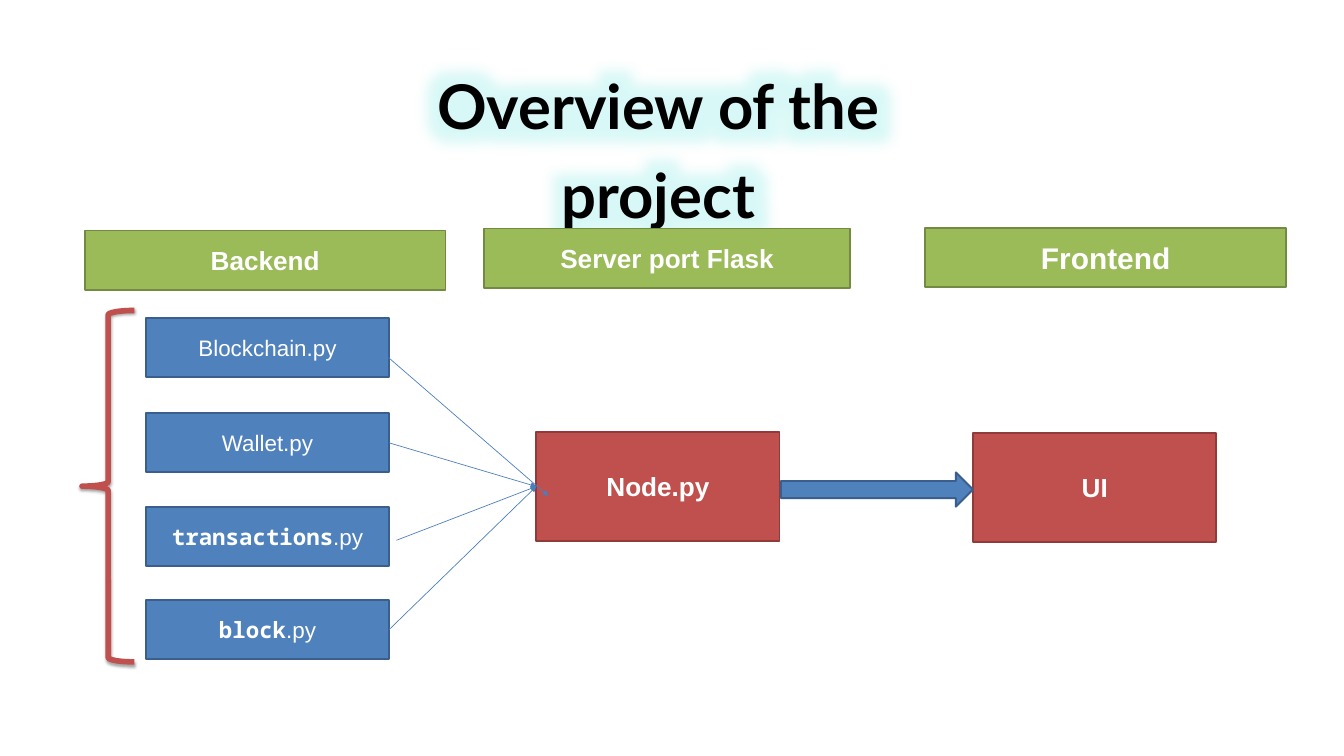
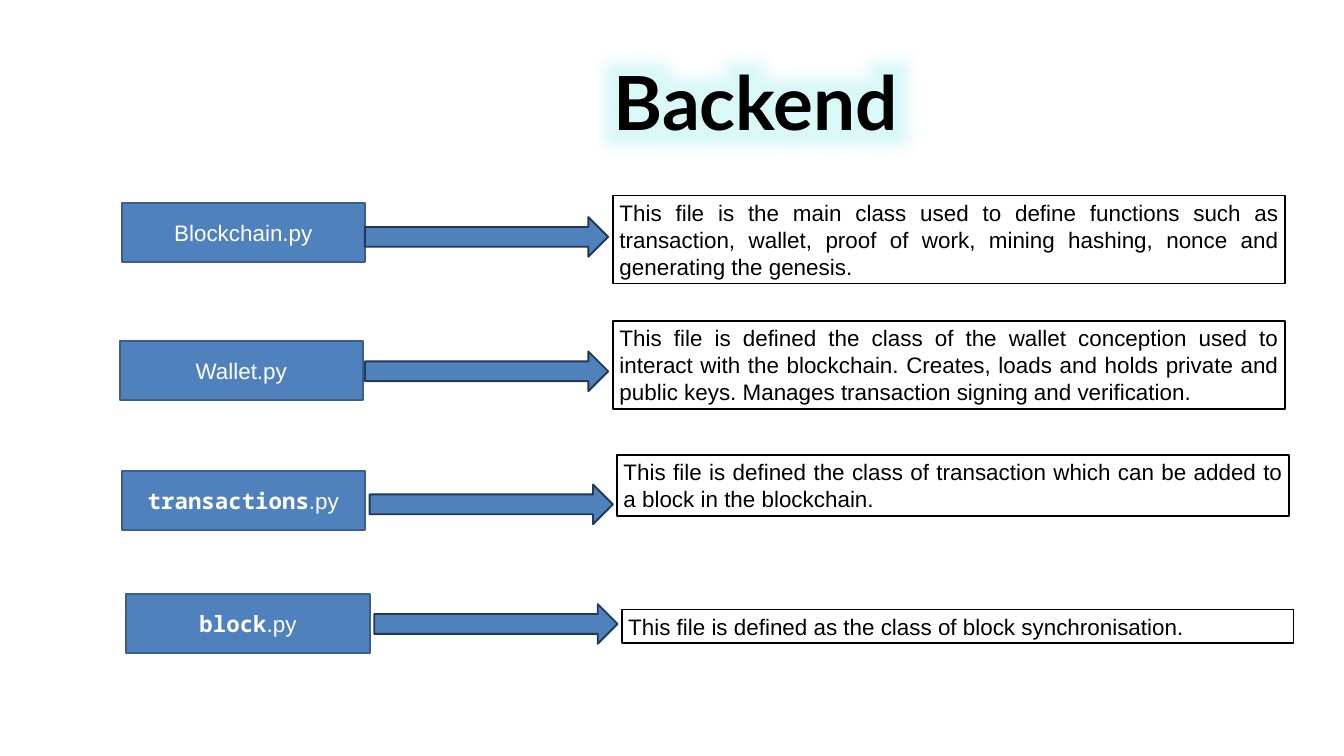
from lxml import etree
from pptx import Presentation
from pptx import util as u
from pptx.dml.color import RGBColor
from pptx.enum import shapes, text
from pptx.oxml import ns

BLUE, BLUE_EDGE, ARROW_EDGE = "4F81BD", "3A5F8C", "233953"
RED, RED_EDGE = "C0504D", "8E3B39"
GREEN, GREEN_EDGE = "9BBB59", "738A42"
WHITE, BLACK, WIRE, GLOW = "FFFFFF", "000000", "4B7EBC", "40E0D8"
BODY, CODE, TITLE = "Arial", "Noto Sans Mono", "Lato"
KIND = shapes.MSO_SHAPE
CENTER, JUSTIFY = text.PP_ALIGN.CENTER, text.PP_ALIGN.JUSTIFY

FILE_SIZE = (3.62, 0.88)
STAGE_SIZE = (3.62, 1.62)

FILES = [
    [("Blockchain.py", BODY, False)],
    [("Wallet.py", BODY, False)],
    [("transactions", CODE, True), (".py", BODY, False)],
    [("block", CODE, True), (".py", BODY, False)],
]
FILE_TOPS = [4.73, 6.15, 7.54, 8.93]

HEADINGS = [
    ("Backend", (1.26, 3.43, 5.37, 0.88), 28),
    ("Server port Flask", (7.2, 3.4, 5.45, 0.88), 28),
    ("Frontend", (13.77, 3.39, 5.37, 0.88), 32),
]

STAGES = [("Node.py", (7.98, 6.43)), ("UI", (14.48, 6.44))]

WIRES = [
    ((5.78, 5.32), (8.16, 7.38), False, False),
    ((5.78, 6.59), (7.98, 7.23), True, True),
    ((5.9, 8.04), (7.98, 7.23), False, True),
    ((5.78, 9.37), (7.98, 7.23), True, True),
]

DETAILS = [
    ((1.81, 3.02), (5.43, 3.23), (9.12, 2.91, 10, 1.31),
     "This file is the main class used to define functions such as transaction, "
     "wallet, proof of work, mining hashing, nonce and generating the genesis."),
    ((1.78, 5.07), (5.43, 5.23), (9.12, 4.78, 10, 1.31),
     "This file is defined the class of the wallet conception used to interact with "
     "the blockchain. Creates, loads and holds private and public keys. Manages "
     "transaction signing and verification."),
    ((1.81, 7.01), (5.5, 7.21), (9.18, 6.77, 10, 0.91),
     "This file is defined the class of transaction which can be added to a block "
     "in the blockchain."),
    ((1.88, 8.84), (5.57, 8.99), (9.25, 9.07, 10, 0.5),
     "This file is defined as the class of block synchronisation."),
]


def color(value):
    return RGBColor.from_string(value)


def inches(values):
    return [u.Inches(value) for value in values]


def sub(parent, tag, **attributes):
    element = etree.SubElement(parent, ns.qn(tag))
    for name, value in attributes.items():
        element.set(name, str(value))
    return element


def add_tint(effect, value, percent):
    sub(sub(effect, "a:srgbClr", val=value), "a:alpha", val=percent * 1000)


def write(box, runs, size, ink, align=CENTER):
    para = box.text_frame.paragraphs[0]
    para.alignment = align
    for words, face, bold in runs:
        span = para.add_run()
        span.text = words
        span.font.size = u.Pt(size)
        span.font.bold = bold
        span.font.color.rgb = color(ink)
        span.font.name = face
    return para


def add_title(page, words, place, size):
    box = page.shapes.add_textbox(*inches(place))
    frame = box.text_frame
    frame.word_wrap = True
    frame.auto_size = text.MSO_AUTO_SIZE.SHAPE_TO_FIT_TEXT
    frame.margin_left = frame.margin_right = frame.margin_top = frame.margin_bottom = 0
    para = write(box, [(words, TITLE, True)], size, BLACK)
    para.line_spacing = 1.2
    fill = para.runs[0].font._element.find(ns.qn("a:solidFill"))
    effects = etree.Element(ns.qn("a:effectLst"))
    add_tint(sub(effects, "a:glow", rad=u.Pt(50)), GLOW, 20)
    fill.addnext(effects)


def add_block(page, place, fill, edge, kind=KIND.RECTANGLE, width=2):
    block = page.shapes.add_shape(kind, *inches(place))
    block.shadow.inherit = False
    if fill:
        block.fill.solid()
        block.fill.fore_color.rgb = color(fill)
    else:
        block.fill.background()
    block.line.color.rgb = color(edge)
    block.line.width = u.Pt(width)
    block.text_frame.word_wrap = True
    block.text_frame.vertical_anchor = text.MSO_ANCHOR.MIDDLE
    return block


def add_file(page, corner, runs):
    block = add_block(page, (*corner, *FILE_SIZE), BLUE, BLUE_EDGE)
    write(block, runs, 24, WHITE)
    return block


def add_description(page, place, words):
    block = add_block(page, place, WHITE, BLACK)
    block.text_frame.vertical_anchor = text.MSO_ANCHOR.TOP
    block.text_frame.auto_size = text.MSO_AUTO_SIZE.SHAPE_TO_FIT_TEXT
    write(block, [(words, BODY, False)], 24, BLACK, JUSTIFY)


def add_wire(page, start, end, source, target):
    wire = page.shapes.add_connector(
        shapes.MSO_CONNECTOR.STRAIGHT, *inches(start), *inches(end))
    wire.line.color.rgb = color(WIRE)
    wire.line.width = u.Pt(0.75)
    sub(wire.line._get_or_add_ln(), "a:tailEnd", type="triangle")
    sub(wire._element.spPr, "a:effectLst")
    if source is not None:
        wire.begin_connect(source, 3)
    if target is not None:
        wire.end_connect(target, 1)


def add_brace(page):
    brace = add_block(page, (1.22, 4.62, 0.78, 5.23), None, RED, KIND.LEFT_BRACE, 6)
    effects = brace._element.spPr.find(ns.qn("a:effectLst"))
    shade = sub(effects, "a:outerShdw", blurRad=u.Pt(3.1), dist=u.Pt(1.8),
                dir=90 * 60000, rotWithShape=0)
    add_tint(shade, BLACK, 35)


def build_overview(page):
    add_title(page, "Overview of the project", (5.36, 0.79, 8.87, 1.33), 66)
    files = [add_file(page, (2.17, top), runs) for top, runs in zip(FILE_TOPS, FILES)]
    stages = []
    for words, corner in STAGES:
        stage = add_block(page, (*corner, *STAGE_SIZE), RED, RED_EDGE)
        write(stage, [(words, BODY, True)], 28, WHITE)
        stages.append(stage)
    for words, place, size in HEADINGS:
        heading = add_block(page, place, GREEN, GREEN_EDGE)
        write(heading, [(words, BODY, True)], size, WHITE)
    for file, (start, end, from_side, to_side) in zip(files, WIRES):
        add_wire(page, start, end, file if from_side else None,
                 stages[0] if to_side else None)
    add_block(page, (11.62, 7.03, 2.86, 0.51), BLUE, BLUE_EDGE, KIND.RIGHT_ARROW)
    add_brace(page)


def build_backend(page):
    add_title(page, "Backend", (5.43, 0.57, 11.64, 1.62), 80)
    for runs, (file_corner, arrow_corner, place, words) in zip(FILES, DETAILS):
        add_file(page, file_corner, runs)
        add_description(page, place, words)
        add_block(page, (*arrow_corner, 3.62, 0.59), BLUE, ARROW_EDGE, KIND.RIGHT_ARROW)


def main():
    deck = Presentation()
    deck.slide_width, deck.slide_height = inches((20, 11.25))
    for build in (build_overview, build_backend):
        page = deck.slides.add_slide(deck.slide_layouts[6])
        page.background.fill.solid()
        page.background.fill.fore_color.rgb = color(WHITE)
        build(page)
    deck.save("out.pptx")


if __name__ == "__main__":
    main()
